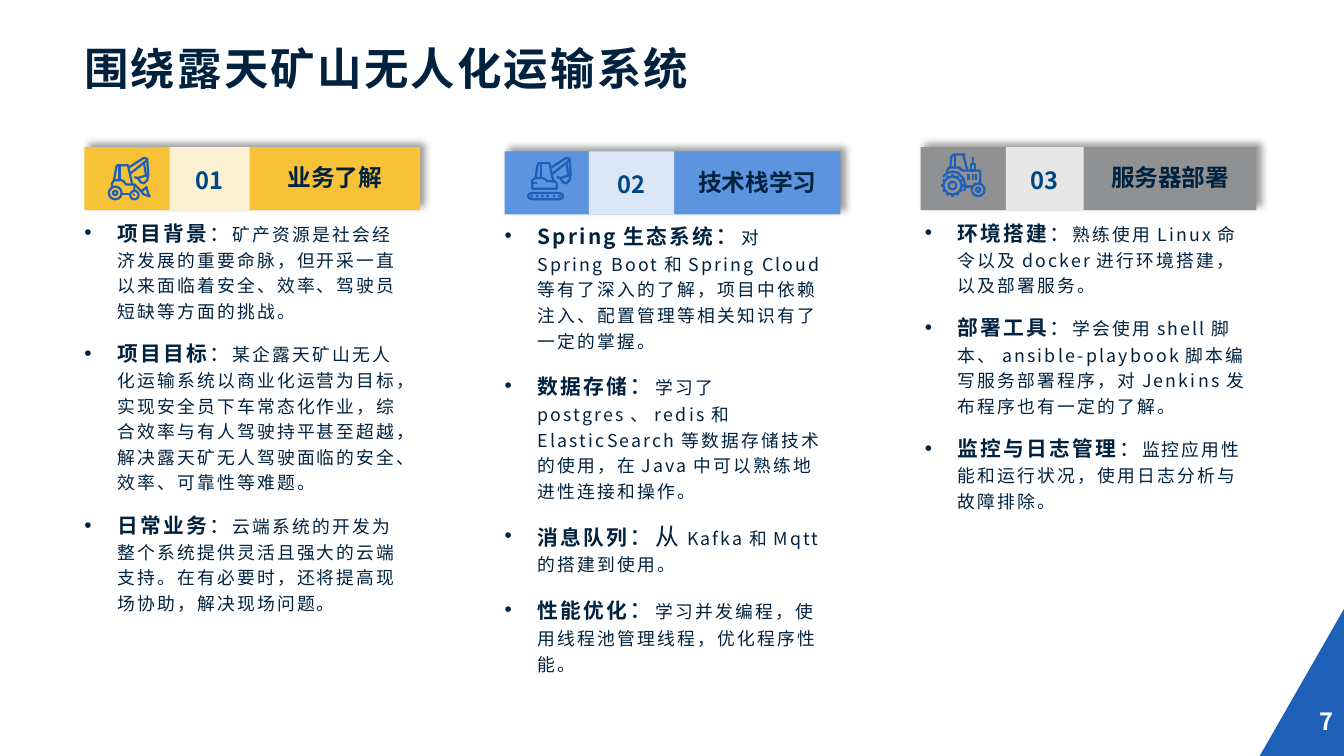
from math import cos, radians, sin

from lxml import etree
from pptx import Presentation
from pptx.dml.color import RGBColor
from pptx.enum.shapes import MSO_CONNECTOR as Connector, MSO_SHAPE as Preset
from pptx.enum.text import MSO_ANCHOR as Anchor, PP_ALIGN as Align
from pptx.oxml.ns import qn
from pptx.util import Inches, Pt

NAVY = RGBColor(0x00, 0x22, 0x3F)
OCEAN = RGBColor(0x00, 0x46, 0x82)
BLUE = RGBColor(0x1E, 0x5F, 0xB8)
YELLOW = RGBColor(0xF7, 0xC1, 0x38)
SKY = RGBColor(0x5D, 0x94, 0xDF)
GRAY = RGBColor(0x8F, 0x91, 0x93)
WHITE = RGBColor(0xFF, 0xFF, 0xFF)
FONT = "Noto Sans CJK SC"

WIDTH, HEIGHT = 12.6, 7.09
MARGIN, PITCH, COLUMN = 0.79, 3.94, 3.15
BANNER_TOP, BANNER_HEIGHT = 1.38, 0.59
BODY_TOP, BODY_HEIGHT = 1.97, 4.72
UNIT = 0.01

CAB = [[(13, 12), (13, 26)], [(25, 30), (21, 12), (11, 12), (10, 14), (8, 26)]]
ARM = [
    [(27, 23), (30, 24)],
    [(40, 21), (39, 26), (36, 29), (33, 28), (30, 24), (40, 21)],
    [(38, 22), (36, 10)],
    [(39, 6), (40, 21)],
    [(23, 20), (38, 8), (39, 6), (36, 5), (22, 14)],
]


def shift(strokes, right, down):
    return [[(x + right, y + down) for x, y in stroke] for stroke in strokes]


def spokes(x, y, inner, outer):
    angles = [radians(30 * step) for step in range(12)]
    return [[(x + r * cos(a), y + r * sin(a)) for r in (inner, outer)] for a in angles]


LOADER = CAB + ARM + [
    [(22, 39), (15, 39)],
    [(6, 33), (6, 29), (8, 26), (15, 26), (17, 27), (19, 30), (27, 30), (27, 36)],
    [(42, 41), (41, 41), (35, 39), (34, 36), (38, 33), (39, 32)],
    [(38, 33), (41, 41)],
    [(27, 30), (34, 37)],
    [(26, 40), (27, 39)],
]
EXCAVATOR = shift(CAB, 1, -6) + shift(ARM, 2, -4) + [
    [(6, 40), (3, 39), (2, 37), (3, 35), (6, 34), (31, 34),
     (34, 35), (35, 37), (34, 39), (31, 40), (6, 40)],
    [(29, 30), (6, 30), (6, 22), (9, 20), (16, 20), (18, 21),
     (20, 23), (27, 23), (29, 25), (29, 30)],
    [(10, 25), (6, 25)],
] + [[(x, 38), (x + 1, 36)] for x in (5, 10, 15, 20, 26, 31)]
TRACTOR = spokes(10, 31, 8.5, 10.5) + [
    [(22, 32), (28, 32)],
    [(1, 23), (5, 19), (10, 18), (15, 19), (20, 24), (22, 31), (21, 36)],
    [(5, 19), (5, 17), (6, 15), (8, 14), (16, 14), (19, 17), (35, 17), (36, 18), (36, 29)],
    [(12, 2), (12, 14)],
    [(24, 17), (20, 2)],
    [(8, 14), (9, 4), (11, 2), (22, 2)],
    [(29, 4), (29, 11)],
    [(27, 11), (31, 11), (31, 17), (27, 17), (27, 11)],
] + [[(x, 20), (x, 26)] for x in (25, 29, 32)]

SECTIONS = [
    dict(number="01", name="业务了解", color=YELLOW, nudge=(0, 0), panel=(0.8, 0.75), colon=14,
         strokes=LOADER, wheels=[(27, 40, 4), (9, 38, 6), (9, 38, 2)],
         items=[
             ("项目背景", "：", "矿产资源是社会经济发展的重要命脉，但开采一直以来面临着安全、效率、驾驶员短缺等方面的挑战。"),
             ("项目目标", "：", "某企露天矿山无人化运输系统以商业化运营为目标，实现安全员下车常态化作业，综合效率与有人驾驶持平甚至超越，解决露天矿无人驾驶面临的安全、效率、可靠性等难题。"),
             ("日常业务", "：", "云端系统的开发为整个系统提供灵活且强大的云端支持。在有必要时，还将提高现场协助，解决现场问题。"),
         ]),
    dict(number="02", name="技术栈学习", color=SKY, nudge=(0, 0.04), panel=(0.79, 0.8), colon=16,
         strokes=EXCAVATOR, wheels=[],
         items=[
             ("Spring生态系统", "：", "对Spring Boot和Spring Cloud等有了深入的了解，项目中依赖注入、配置管理等相关知识有了一定的掌握。"),
             ("数据存储", "：", "学习了postgres、redis和ElasticSearch等数据存储技术的使用，在Java中可以熟练地进性连接和操作。"),
             ("消息队列", "：从", "Kafka和Mqtt的搭建到使用。"),
             ("性能优化", "：", "学习并发编程，使用线程池管理线程，优化程序性能。"),
         ]),
    dict(number="03", name="服务器部署", color=GRAY, nudge=(-0.04, 0), panel=(0.8, 0.73), colon=14,
         strokes=TRACTOR, wheels=[(34, 35, 6), (34, 35, 2), (10, 31, 8.5), (10, 31, 3.5)],
         items=[
             ("环境搭建", "：", "熟练使用Linux命令以及docker进行环境搭建，以及部署服务。"),
             ("部署工具", "：", "学会使用shell脚本、ansible-playbook脚本编写服务部署程序，对Jenkins发布程序也有一定的了解。"),
             ("监控与日志管理", "：", "监控应用性能和运行状况，使用日志分析与故障排除。"),
         ]),
]


def style(span, size, color, bold=True, spacing=0):
    span.font.name, span.font.size, span.font.bold = FONT, Pt(size), bold
    span.font.color.rgb = color
    properties = span.font._element
    properties.set("spc", str(spacing))
    etree.SubElement(properties, qn("a:ea")).set("typeface", FONT)


def add_text_box(page, left, top, width, height, anchor=Anchor.MIDDLE):
    box = page.shapes.add_textbox(Inches(left), Inches(top), Inches(width), Inches(height))
    box.text_frame.word_wrap = True
    box.text_frame.vertical_anchor = anchor
    return box.text_frame


def add_label(page, left, top, width, height, text, size, color, align, spacing=0):
    frame = add_text_box(page, left, top, width, height)
    frame.text = text
    para = frame.paragraphs[0]
    para.alignment = align
    style(para.runs[0], size, color, spacing=spacing)
    return frame


def add_block(page, left, top, width, height, color):
    block = page.shapes.add_shape(Preset.RECTANGLE, Inches(left), Inches(top),
                                  Inches(width), Inches(height))
    block.shadow.inherit = False
    block.fill.solid()
    block.fill.fore_color.rgb = color
    block.line.fill.background()
    return block


def add_shadow(block):
    effects = block._element.spPr.find(qn("a:effectLst"))
    shadow = etree.SubElement(effects, qn("a:outerShdw"), blurRad=str(Pt(5)),
                              dist=str(Pt(4)), dir="18900000", rotWithShape="0")
    tint = etree.SubElement(shadow, qn("a:srgbClr"), val="000000")
    etree.SubElement(tint, qn("a:alpha"), val="40000")


def add_icon(page, left, top, strokes, wheels):
    def place(x, y):
        return Inches(left + x * UNIT), Inches(top + y * UNIT)

    parts = []
    for stroke in strokes:
        points = [place(x, y) for x, y in stroke]
        if len(points) == 2:
            part = page.shapes.add_connector(Connector.STRAIGHT, *points[0], *points[1])
            etree.SubElement(part._element.spPr, qn("a:effectLst"))
        else:
            builder = page.shapes.build_freeform(*points[0])
            builder.add_line_segments(points[1:], close=points[0] == points[-1])
            part = builder.convert_to_shape()
            part.fill.background()
            part.shadow.inherit = False
        parts.append(part)
    for x, y, radius in wheels:
        side = Inches(2 * radius * UNIT)
        wheel = page.shapes.add_shape(Preset.OVAL, *place(x - radius, y - radius), side, side)
        wheel.fill.background()
        wheel.shadow.inherit = False
        parts.append(wheel)
    for part in parts:
        part.line.color.rgb = BLUE
        part.line.width = Pt(1.5)


def add_banner(page, left, top, width, height, section):
    add_shadow(add_block(page, left, top, width, height, section["color"]))
    offset, panel_width = section["panel"]
    panel_left, panel_right = left + offset, left + offset + panel_width
    panel = add_block(page, panel_left, top, panel_width, height, WHITE)
    tint = panel._element.spPr.find(qn("a:solidFill"))[0]
    etree.SubElement(tint, qn("a:alpha"), val="78000")
    add_label(page, panel_left, top + 0.03, panel_width, 0.55,
              section["number"], 16, OCEAN, Align.CENTER)
    add_label(page, panel_right, top, left + width - panel_right, 0.57,
              section["name"], 16, NAVY, Align.CENTER)
    add_icon(page, left + 0.2, top + 0.05, section["strokes"], section["wheels"])


def add_body(page, left, top, width, height, section):
    frame = add_text_box(page, left, top, width, height, Anchor.TOP)
    frame.margin_left = 0
    for index, texts in enumerate(section["items"]):
        para = frame.add_paragraph() if index else frame.paragraphs[0]
        properties = para._p.get_or_add_pPr()
        properties.set("marL", str(Inches(0.31)))
        properties.set("indent", str(-Inches(0.31)))
        etree.SubElement(properties, qn("a:buFont"), typeface="Arial")
        etree.SubElement(properties, qn("a:buChar"), char="•")
        para.line_spacing = 1.2
        if index:
            para.space_before = Pt(9.4)
        for text, size, bold in zip(texts, (14, section["colon"], 12), (True, False, False)):
            span = para.add_run()
            span.text = text
            style(span, size, NAVY, bold, 150)


def add_corner(page, left, top, right, bottom):
    points = [(Inches(x), Inches(y)) for x, y in ((left, bottom), (right, top), (right, bottom))]
    builder = page.shapes.build_freeform(*points[0])
    builder.add_line_segments(points[1:])
    corner = builder.convert_to_shape()
    corner.shadow.inherit = False
    corner.fill.solid()
    corner.fill.fore_color.rgb = BLUE
    corner.line.fill.background()
    add_label(page, right - 2.84, bottom - 0.52, 2.84, 0.38, "7", 16, WHITE, Align.RIGHT)


def main():
    deck = Presentation()
    deck.slide_width, deck.slide_height = Inches(WIDTH), Inches(HEIGHT)
    page = deck.slides.add_slide(deck.slide_layouts[6])
    add_corner(page, 11.81, 5.71, WIDTH, HEIGHT)
    title = add_label(page, MARGIN, 0.38, 11.41, 0.57, "围绕露天矿山无人化运输系统",
                      30, NAVY, Align.LEFT, 150)
    title.margin_left = 0
    title.paragraphs[0].line_spacing = 0.9
    for index, section in enumerate(SECTIONS):
        left = MARGIN + index * PITCH
        right, down = section["nudge"]
        add_body(page, left, BODY_TOP, COLUMN, BODY_HEIGHT, section)
        add_banner(page, left + right, BANNER_TOP + down, COLUMN, BANNER_HEIGHT, section)
    deck.save("out.pptx")


if __name__ == "__main__":
    main()
